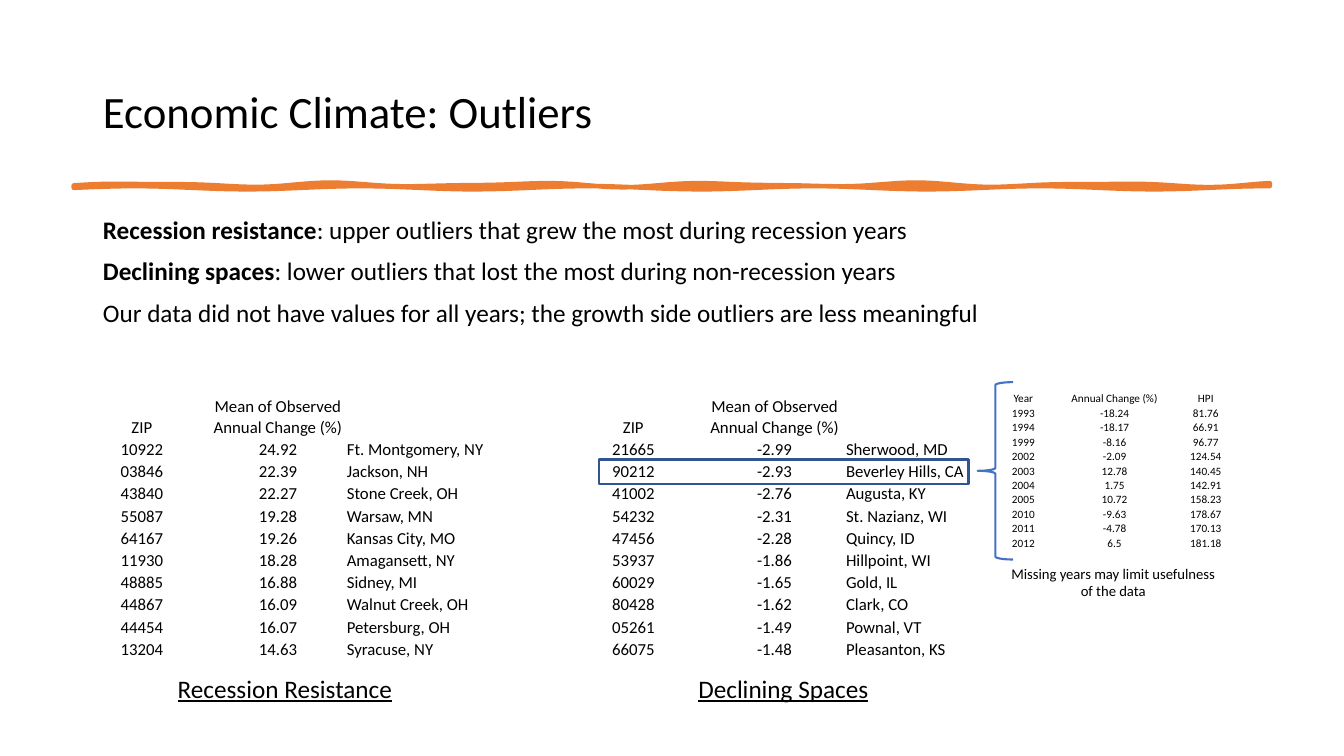
from math import sin

from pptx import Presentation
from pptx.dml.color import RGBColor
from pptx.enum.shapes import MSO_SHAPE
from pptx.enum.text import MSO_ANCHOR, PP_ALIGN
from pptx.oxml import parse_xml
from pptx.oxml.ns import nsdecls
from pptx.util import Cm, Pt

LEFT, MID = PP_ALIGN.LEFT, PP_ALIGN.CENTER
BOTTOM = MSO_ANCHOR.BOTTOM
RECT, BRACE = MSO_SHAPE.RECTANGLE, MSO_SHAPE.LEFT_BRACE

BLACK = RGBColor(0x00, 0x00, 0x00)
ORANGE = RGBColor(0xED, 0x7D, 0x31)
BLUE = RGBColor(0x44, 0x72, 0xC4)
NAVY = RGBColor(0x32, 0x54, 0x91)
FONT = "Calibri"
NO_GRID = "{2D5ABB26-0587-4C30-8999-92F81FD0307C}"

POINTS = [
    ("Recession resistance", ": upper outliers that grew the most during recession years"),
    ("Declining spaces", ": lower outliers that lost the most during non-recession years"),
    ("", "Our data did not have values for all years; the growth side outliers are less meaningful"),
]
HEAD = ("ZIP", "Mean of Observed Annual Change (%)", "")
GROWTH = [
    HEAD,
    ("10922", "24.92", "Ft. Montgomery, NY"),
    ("03846", "22.39", "Jackson, NH"),
    ("43840", "22.27", "Stone Creek, OH"),
    ("55087", "19.28", "Warsaw, MN"),
    ("64167", "19.26", "Kansas City, MO"),
    ("11930", "18.28", "Amagansett, NY"),
    ("48885", "16.88", "Sidney, MI"),
    ("44867", "16.09", "Walnut Creek, OH"),
    ("44454", "16.07", "Petersburg, OH"),
    ("13204", "14.63", "Syracuse, NY"),
]
DECLINE = [
    HEAD,
    ("21665", "-2.99", "Sherwood, MD"),
    ("90212", "-2.93", "Beverley Hills, CA"),
    ("41002", "-2.76", "Augusta, KY"),
    ("54232", "-2.31", "St. Nazianz, WI"),
    ("47456", "-2.28", "Quincy, ID"),
    ("53937", "-1.86", "Hillpoint, WI"),
    ("60029", "-1.65", "Gold, IL"),
    ("80428", "-1.62", "Clark, CO"),
    ("05261", "-1.49", "Pownal, VT"),
    ("66075", "-1.48", "Pleasanton, KS"),
]
YEARS = [
    ("Year", "Annual Change (%)", "HPI"),
    ("1993", "-18.24", "81.76"),
    ("1994", "-18.17", "66.91"),
    ("1999", "-8.16", "96.77"),
    ("2002", "-2.09", "124.54"),
    ("2003", "12.78", "140.45"),
    ("2004", "1.75", "142.91"),
    ("2005", "10.72", "158.23"),
    ("2010", "-9.63", "178.67"),
    ("2011", "-4.78", "170.13"),
    ("2012", "6.5", "181.18"),
]


def write(par, text, size=18, bold=False, line=False, align=LEFT):
    par.alignment = align
    run = par.add_run()
    run.text = text
    font = run.font
    font.name, font.size, font.bold = FONT, Pt(size), bold
    font.underline = line
    font.color.rgb = BLACK


def place(shape, left, top, width, height):
    shape.left, shape.top = Cm(left), Cm(top)
    shape.width, shape.height = Cm(width), Cm(height)


def add_title(slide, text):
    title = slide.shapes.title
    place(title, 2.34, 1.02, 29.21, 3.68)
    par = title.text_frame.paragraphs[0]
    par.line_spacing = 0.9
    write(par, text, size=32)


def add_body(slide, points):
    body = slide.placeholders[1]
    place(body, 2.34, 5.36, 29.21, 11.81)
    frame = body.text_frame
    for i, (lead, rest) in enumerate(points):
        par = frame.add_paragraph() if i else frame.paragraphs[0]
        par.line_spacing, par.space_before = 0.9, Pt(10)
        if lead:
            write(par, lead, bold=True)
        write(par, rest)
        props = par._p.get_or_add_pPr()
        props.set("marL", "0")
        props.set("indent", "0")
        props.append(parse_xml(f"<a:buNone {nsdecls('a')}/>"))


def add_stroke(slide, left, right, top, base, steps=120):
    xs = [left + (right - left) * i / steps for i in range(steps + 1)]
    upper = [(x, top + 0.04 * sin(1.3 * x) + 0.02 * sin(2.1 * x)) for x in xs]
    lower = [(x, base + 0.04 * sin(1.1 * x + 1)) for x in reversed(xs)]
    dots = [(Cm(x), Cm(y)) for x, y in upper + lower]
    pen = slide.shapes.build_freeform(*dots[0], scale=1.0)
    pen.add_line_segments(dots[1:], close=True)
    shape = pen.convert_to_shape()
    shape.shadow.inherit = False
    shape.fill.solid()
    shape.fill.fore_color.rgb = ORANGE
    shape.line.color.rgb = ORANGE
    shape.line.width = Pt(3.25)


def add_grid(slide, rows, left, top, widths, first, step, size, aligns):
    high = first + step * (len(rows) - 1)
    frame = slide.shapes.add_table(
        len(rows), len(widths), Cm(left), Cm(top), Cm(sum(widths)), Cm(high))
    frame.element.xpath(".//a:tableStyleId")[0].text = NO_GRID
    table = frame.table
    table.first_row = table.horz_banding = False
    for col, width in zip(table.columns, widths):
        col.width = Cm(width)
    for r, row in enumerate(rows):
        table.rows[r].height = Cm(step if r else first)
        for c, text in enumerate(row):
            cell = table.cell(r, c)
            cell.fill.background()
            cell.vertical_anchor = BOTTOM
            cell.margin_left = cell.margin_right = cell.margin_top = Cm(0.02)
            cell.margin_bottom = 0
            write(cell.text_frame.paragraphs[0], text, size=size, align=aligns[c])


def add_label(slide, text, left, top, width, height, wrap=False, **form):
    box = slide.shapes.add_textbox(Cm(left), Cm(top), Cm(width), Cm(height))
    box.text_frame.word_wrap = wrap
    write(box.text_frame.paragraphs[0], text, **form)


def add_frame(slide, kind, color, left, top, width, height):
    shape = slide.shapes.add_shape(kind, Cm(left), Cm(top), Cm(width), Cm(height))
    shape.shadow.inherit = False
    shape.fill.background()
    shape.line.color.rgb = color
    shape.line.width = Pt(1.5)


def main():
    deck = Presentation()
    deck.slide_width, deck.slide_height = Cm(33.87), Cm(19.05)
    slide = deck.slides.add_slide(deck.slide_layouts[1])
    add_title(slide, "Economic Climate: Outliers")
    add_stroke(slide, 1.86, 32.0, 4.66, 4.73)
    add_body(slide, POINTS)

    zips = dict(top=9.96, first=1.07, step=0.56, size=12, aligns=(MID, MID, LEFT))
    add_grid(slide, GROWTH, left=1.86, widths=(3.43, 3.43, 5.48), **zips)
    add_grid(slide, DECLINE, left=14.18, widths=(3.56, 3.56, 5.72), **zips)
    add_label(slide, "Recession Resistance", 4.23, 16.84, 5.97, 1.02, line=True)
    add_label(slide, "Declining Spaces", 17.35, 16.84, 4.85, 1.02, line=True)

    add_frame(slide, BRACE, BLUE, 24.64, 9.63, 0.89, 4.47)
    add_label(slide, "Missing years may limit usefulness of the data",
              25.12, 14.1, 5.87, 1.14, wrap=True, size=10.5, align=MID)
    tall = 4.01 / len(YEARS)
    add_grid(slide, YEARS, left=24.64, top=9.86, widths=(2.3,) * 3,
             first=tall, step=tall, size=8, aligns=(MID,) * 3)
    add_frame(slide, RECT, NAVY, 15.09, 11.58, 9.32, 0.61)
    deck.save("out.pptx")


main()
